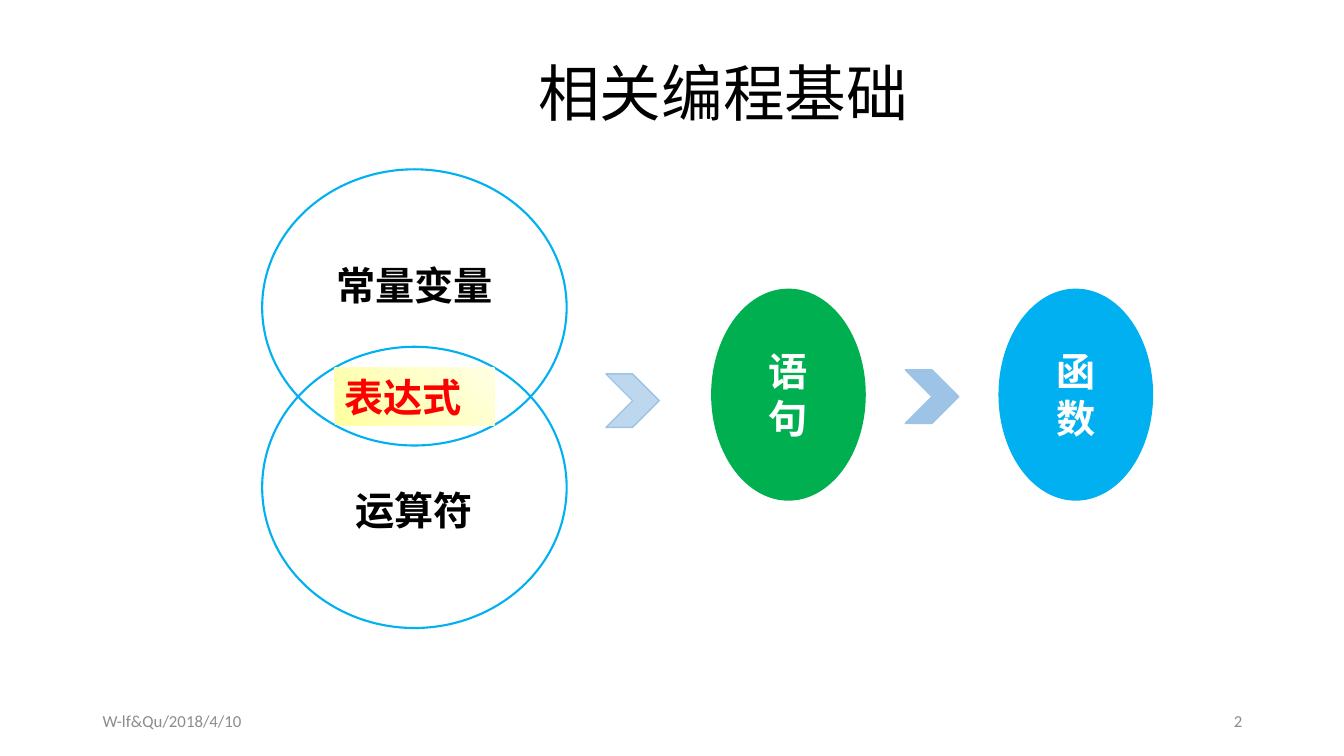
from pptx import Presentation
from pptx.dml.color import RGBColor
from pptx.enum.shapes import MSO_SHAPE
from pptx.enum.text import MSO_ANCHOR, PP_ALIGN
from pptx.util import Inches, Pt

BLACK = RGBColor(0x00, 0x00, 0x00)
WHITE = RGBColor(0xFF, 0xFF, 0xFF)
RED = RGBColor(0xFF, 0x00, 0x00)
GREY = RGBColor(0x8C, 0x8C, 0x8C)
GREEN = RGBColor(0x00, 0xB0, 0x50)
SKY = RGBColor(0x00, 0xB0, 0xF0)
PALE_BLUE = RGBColor(0xBD, 0xD7, 0xEE)
MID_BLUE = RGBColor(0x9D, 0xC3, 0xE6)
YELLOW = RGBColor(0xFF, 0xFF, 0xA0)
CREAM = RGBColor(0xFF, 0xFF, 0xE3)

TITLE = "相关编程基础"
# text, top, height, top inset, bottom inset
CIRCLES = [
    ("常量变量", 1.68, 2.74, 0.05, 0.5),
    ("运算符", 3.44, 2.79, 0.5, 0.05),
]
OVERLAP = "表达式"
# characters stacked in the oval, left, colour
OVALS = [("语句", 7.06, GREEN), ("函数", 9.91, SKY)]
# left, top, fill
CHEVRONS = [(6.01, 3.71, PALE_BLUE), (8.98, 3.67, MID_BLUE)]
FOOTERS = [
    ("W-lf&Qu/2018/4/10", 0.92, PP_ALIGN.LEFT),
    ("2", 9.42, PP_ALIGN.RIGHT),
]


def write(shape, lines, size, color, align, bold=False, anchor=MSO_ANCHOR.MIDDLE):
    tf = shape.text_frame
    tf.word_wrap = True
    tf.vertical_anchor = anchor
    tf.text = "\n".join(lines)
    for p in tf.paragraphs:
        p.alignment = align
        p.font.name = "Calibri"
        p.font.size = Pt(size)
        p.font.bold = bold
        p.font.color.rgb = color
    return tf


def add_shape(s, kind, box, fill=None, line=None, width=1):
    sp = s.shapes.add_shape(kind, *map(Inches, box))
    sp.shadow.inherit = False
    if fill is None:
        sp.fill.background()
    else:
        sp.fill.solid()
        sp.fill.fore_color.rgb = fill
    if line is None:
        sp.line.fill.background()
    else:
        sp.line.color.rgb = line
        sp.line.width = Pt(width)
    return sp


prs = Presentation()
prs.slide_width, prs.slide_height = Inches(13.33), Inches(7.5)
s = prs.slides.add_slide(prs.slide_layouts[5])

title = s.shapes.title
title.left, title.top = Inches(2.32), Inches(0.23)
title.width, title.height = Inches(9.71), Inches(1.45)
tf = write(title, [TITLE], 44, BLACK, PP_ALIGN.CENTER)
tf.paragraphs[0].line_spacing = 0.9

for text, top, height, inset_top, inset_bottom in CIRCLES:
    sp = add_shape(s, MSO_SHAPE.OVAL, (2.6, top, 3.02, height), line=SKY, width=1.5)
    tf = write(sp, [text], 28, BLACK, PP_ALIGN.CENTER, bold=True)
    tf.margin_top, tf.margin_bottom = Inches(inset_top), Inches(inset_bottom)

overlap = add_shape(s, MSO_SHAPE.RECTANGLE, (3.32, 3.65, 1.58, 0.57))
overlap.fill.gradient()
overlap.fill.gradient_angle = 45
for stop, color in zip(overlap.fill.gradient_stops, (YELLOW, CREAM)):
    stop.color.rgb = color
write(overlap, [OVERLAP], 28, RED, PP_ALIGN.LEFT, bold=True, anchor=MSO_ANCHOR.TOP)

for text, left, color in OVALS:
    sp = add_shape(s, MSO_SHAPE.OVAL, (left, 2.87, 1.52, 2.09), color, color)
    write(sp, text, 28, WHITE, PP_ALIGN.CENTER, bold=True)

for left, top, color in CHEVRONS:
    add_shape(s, MSO_SHAPE.CHEVRON, (left, top, 0.53, 0.53), color, MID_BLUE)

for text, left, align in FOOTERS:
    box = s.shapes.add_textbox(Inches(left), Inches(6.95), Inches(3), Inches(0.4))
    write(box, [text], 12, GREY, align)

prs.save("out.pptx")
